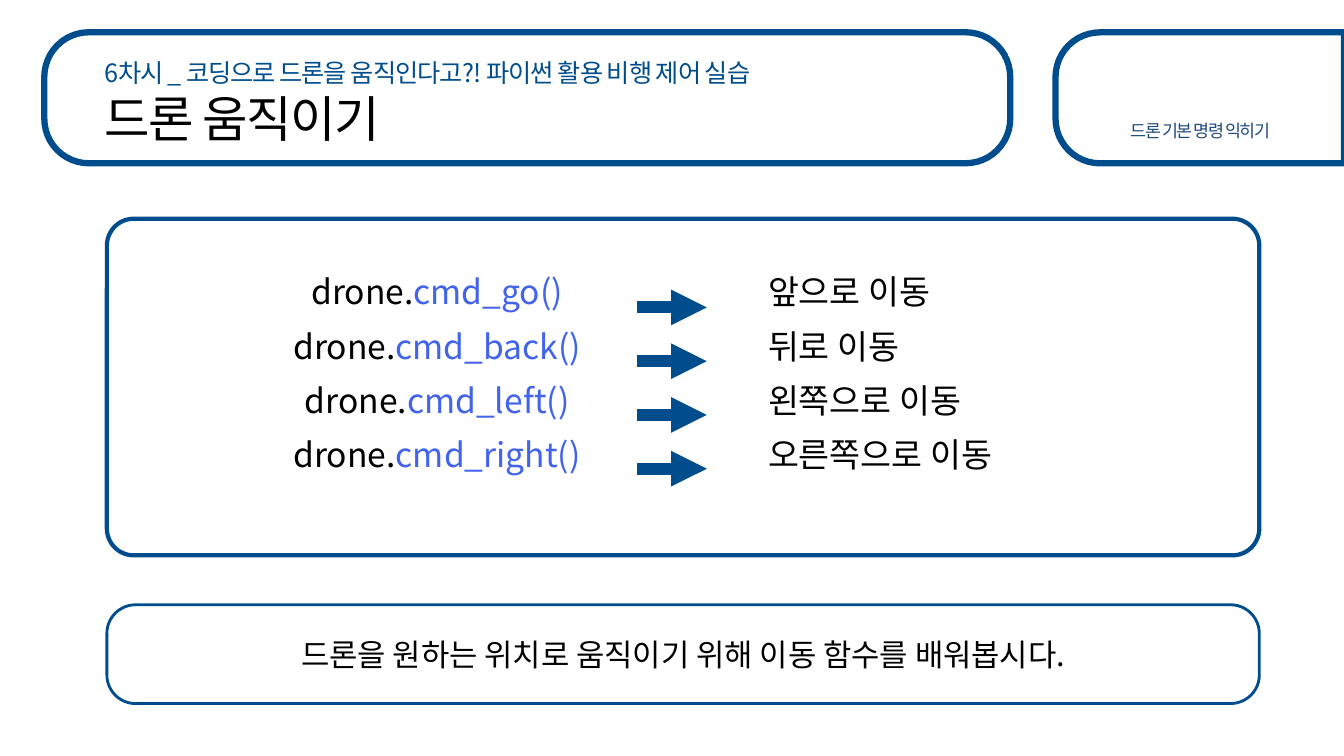
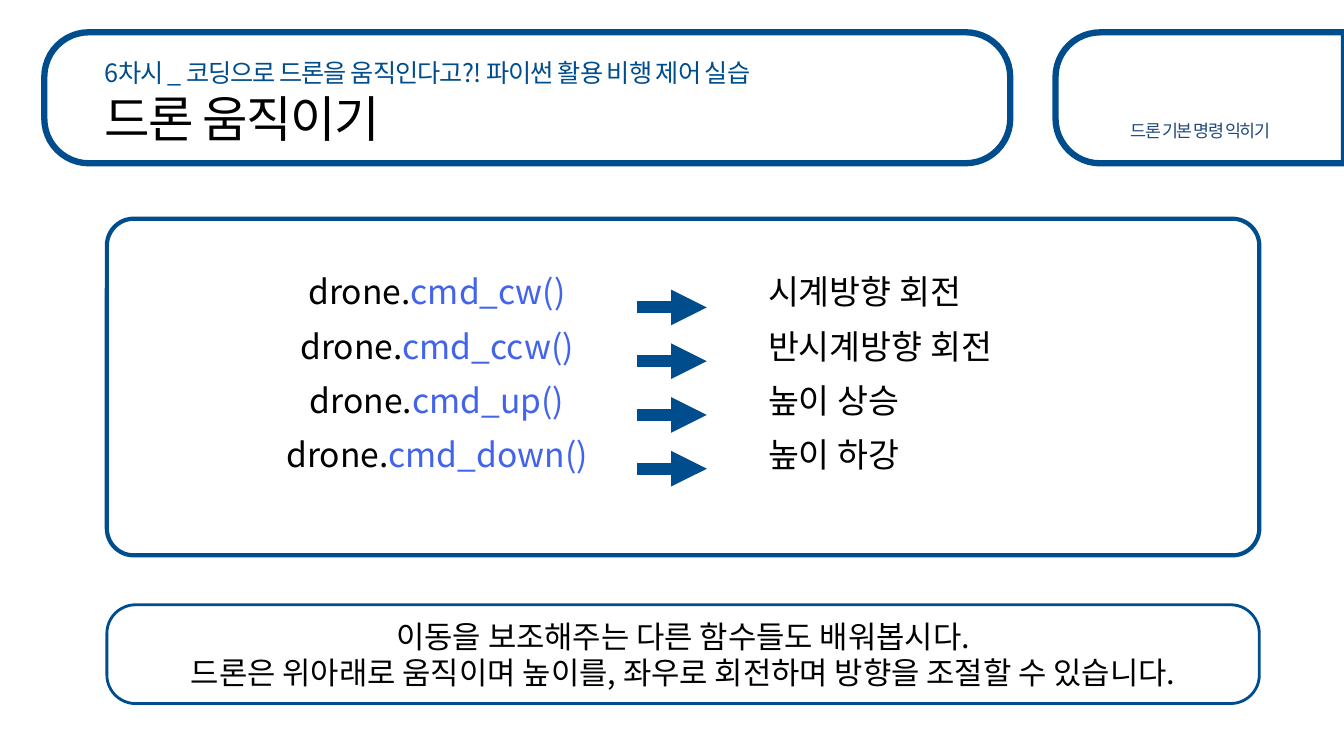
"""Build two lesson slides that pair drone commands with their meaning."""
from dataclasses import dataclass

from lxml.etree import SubElement
from pptx import Presentation
from pptx.dml.color import RGBColor
from pptx.enum.shapes import MSO_CONNECTOR, MSO_SHAPE
from pptx.enum.text import MSO_ANCHOR, MSO_AUTO_SIZE, PP_ALIGN
from pptx.oxml.ns import qn
from pptx.util import Inches, Pt


@dataclass(frozen=True)
class Theme:
    font: str = "Noto Sans CJK KR"
    navy: RGBColor = RGBColor(0x00, 0x4D, 0x8D)
    slate: RGBColor = RGBColor(0x1F, 0x49, 0x7D)
    accent: RGBColor = RGBColor(0x42, 0x63, 0xEB)
    ink: RGBColor = RGBColor(0x00, 0x00, 0x00)
    paper: RGBColor = RGBColor(0xFF, 0xFF, 0xFF)
    title_size: float = 35.3
    command_size: float = 24
    note_size: float = 22
    eyebrow_size: float = 18
    tag_size: float = 12.4
    band_line: float = 4.5
    panel_line: float = 3
    note_line: float = 2
    arrow_line: float = 8.5


theme = Theme()
deck = Presentation()
deck.slide_width = Inches(13.33)
deck.slide_height = Inches(7.5)


def place(left, top, width, height):
    """Turn percentages of the slide into lengths."""
    across, down = deck.slide_width / 100, deck.slide_height / 100
    return [round(left * across), round(top * down), round(width * across), round(height * down)]


def add_outline(slide, preset, area, radius, weight, filled=True):
    """Add a rounded outline in the theme colours."""
    shape = slide.shapes.add_shape(preset, *area)
    shape.shadow.inherit = False
    shape.adjustments[0] = radius
    shape.line.color.rgb = theme.navy
    shape.line.width = Pt(weight)
    if filled:
        shape.fill.solid()
        shape.fill.fore_color.rgb = theme.paper
    else:
        shape.fill.background()
    return shape


lessons = [
    (
        [
            ("cmd_go()", "앞으로 이동"),
            ("cmd_back()", "뒤로 이동"),
            ("cmd_left()", "왼쪽으로 이동"),
            ("cmd_right()", "오른쪽으로 이동"),
        ],
        ["드론을 원하는 위치로 움직이기 위해 이동 함수를 배워봅시다."],
    ),
    (
        [
            ("cmd_cw()", "시계방향 회전"),
            ("cmd_ccw()", "반시계방향 회전"),
            ("cmd_up()", "높이 상승"),
            ("cmd_down()", "높이 하강"),
        ],
        [
            "이동을 보조해주는 다른 함수들도 배워봅시다.",
            "드론은 위아래로 움직이며 높이를, 좌우로 회전하며 방향을 조절할 수 있습니다.",
        ],
    ),
]

layout = deck.slide_layouts[5]
slides = [deck.slides.add_slide(layout) for lesson in lessons]

tab_left, tab_top, tab_width, tab_height = place(78.54, 4.27, 21.46, 17.33)
turned_area = [
    tab_left + (tab_width - tab_height) // 2,
    tab_top + (tab_height - tab_width) // 2,
    tab_height,
    tab_width,
]
tab = add_outline(slides[0], MSO_SHAPE.ROUND_2_SAME_RECTANGLE, turned_area, 0.34, theme.band_line)
tab.rotation = 270
band = add_outline(
    slides[0], MSO_SHAPE.ROUNDED_RECTANGLE, place(3.3, 4.27, 71.87, 17.33), 0.34, theme.band_line
)
for position, shape in enumerate([tab, band], start=2):
    layout.shapes._spTree.insert(position, shape._element)

arrow_start, arrow_end = 47.41, 52.59
first_row, row_step = 40.67, 7.11

for slide, (commands, note_lines) in zip(slides, lessons):
    title = slide.shapes.title
    title.left, title.top, title.width, title.height = place(7.05, 10.93, 62.94, 7.87)
    eyebrow = slide.shapes.add_textbox(*place(7.05, 6.93, 62.94, 4.13))
    tag = slide.shapes.add_textbox(*place(82.97, 15.2, 12.68, 5.2))
    note = add_outline(
        slide, MSO_SHAPE.ROUNDED_RECTANGLE, place(7.95, 80, 85.75, 13.07), 0.29, theme.note_line
    )
    add_outline(
        slide, MSO_SHAPE.ROUNDED_RECTANGLE, place(7.95, 28.93, 85.75, 44.53), 0.08,
        theme.panel_line, filled=False,
    )
    code = slide.shapes.add_textbox(*place(17.63, 34.53, 29.78, 33.07))
    meaning = slide.shapes.add_textbox(*place(56.41, 34.53, 21.76, 33.07))
    for box in (code, meaning):
        box.text_frame.margin_top = box.text_frame.margin_bottom = Inches(0.1)

    for row in range(len(commands)):
        left, top, width, _ = place(
            arrow_start, first_row + row * row_step, arrow_end - arrow_start, 0
        )
        arrow = slide.shapes.add_connector(MSO_CONNECTOR.STRAIGHT, left, top, left + width, top)
        arrow.line.color.rgb = theme.navy
        arrow.line.width = Pt(theme.arrow_line)
        SubElement(arrow.line._get_or_add_ln(), qn("a:tailEnd"), type="triangle")
        SubElement(arrow._element.spPr, qn("a:effectLst"))

    blocks = [
        (title, PP_ALIGN.LEFT, theme.title_size, 0, [[("드론 움직이기", theme.ink, -1)]]),
        (eyebrow, PP_ALIGN.LEFT, theme.eyebrow_size, 0, [[
            ("6차시 _ ", theme.navy, -1),
            ("코딩으로 드론을 움직인다고?! 파이썬 활용 비행 제어 실습", theme.navy, -0.7),
        ]]),
        (tag, PP_ALIGN.CENTER, theme.tag_size, 0, [[("드론 기본 명령 익히기", theme.slate, -1)]]),
        (note, PP_ALIGN.CENTER, theme.note_size, 0,
         [[(line, theme.ink, 0)] for line in note_lines]),
        (code, PP_ALIGN.CENTER, theme.command_size, 10,
         [[("drone.", theme.ink, 0), (call, theme.accent, 0)] for call, _ in commands]),
        (meaning, PP_ALIGN.JUSTIFY, theme.command_size, 10,
         [[(effect, theme.ink, 0)] for _, effect in commands]),
    ]
    for box, alignment, size, gap, lines in blocks:
        frame = box.text_frame
        frame.word_wrap = True
        frame.auto_size = MSO_AUTO_SIZE.NONE
        frame.vertical_anchor = MSO_ANCHOR.MIDDLE if box is note else MSO_ANCHOR.TOP
        for number, line in enumerate(lines):
            para = frame.add_paragraph() if number else frame.paragraphs[0]
            para.alignment = alignment
            para.space_before = Pt(gap if number else 0)
            for text, color, tracking in line:
                span = para.add_run()
                span.text = text
                span.font.size = Pt(size)
                span.font.color.rgb = color
                span.font.name = theme.font
                properties = span._r.get_or_add_rPr()
                SubElement(properties, qn("a:ea"), typeface=theme.font)
                if tracking:
                    properties.set("spc", str(round(tracking * 100)))

deck.save("out.pptx")
